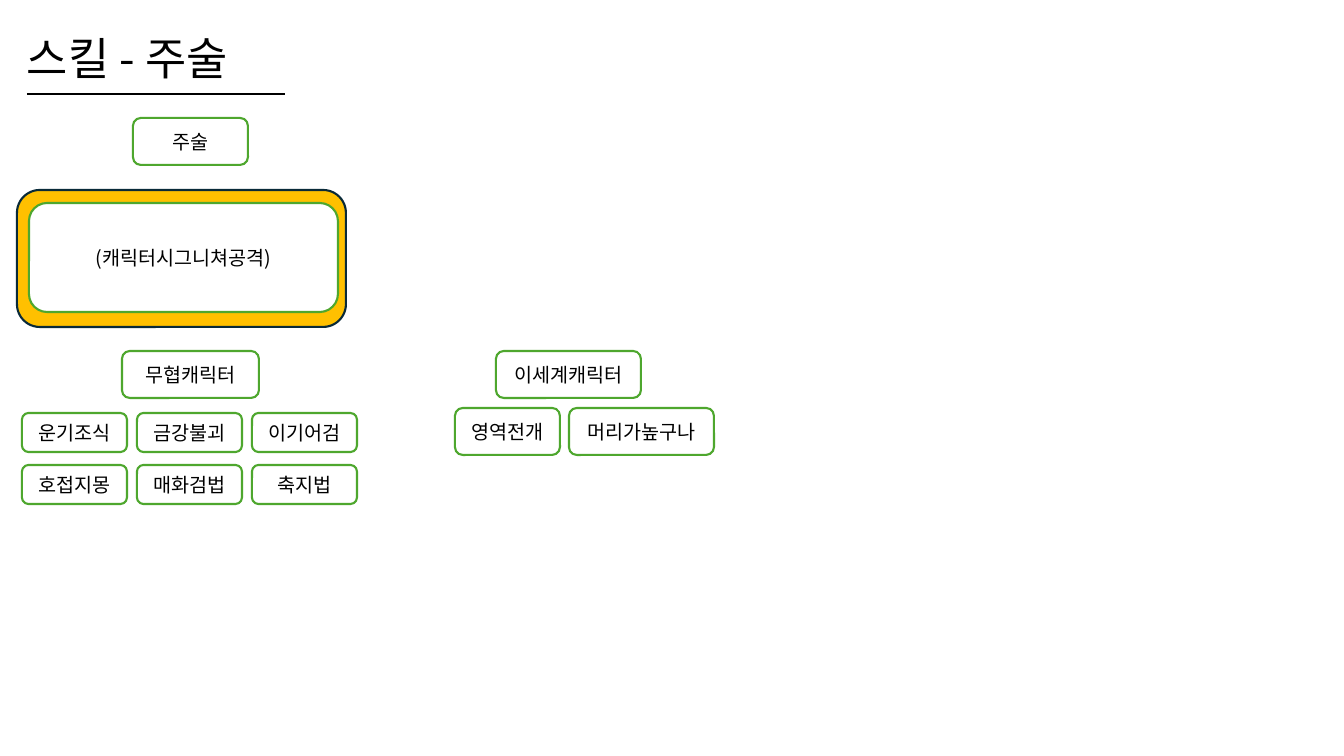
from lxml.etree import SubElement
from pptx import Presentation
from pptx.dml.color import RGBColor
from pptx.enum.shapes import MSO_CONNECTOR as Connector, MSO_SHAPE as Shape
from pptx.enum.text import MSO_ANCHOR as Anchor, PP_ALIGN as Align
from pptx.oxml.ns import qn
from pptx.util import Emu, Pt

BLACK = RGBColor(0x00, 0x00, 0x00)
WHITE = RGBColor(0xFF, 0xFF, 0xFF)
GREEN = RGBColor(0x4E, 0xA7, 0x2E)
GOLD = RGBColor(0xFF, 0xC0, 0x00)
NAVY = RGBColor(0x09, 0x2A, 0x39)
FONT = "Noto Sans CJK KR"

MARTIAL_SKILLS = [
    ["운기조식", "금강불괴", "이기어검"],
    ["호접지몽", "매화검법", "축지법"],
]
LABELS = [
    ("주술", 133, 118, 115, 47),
    ("(캐릭터시그니쳐공격)", 29, 203, 309, 109),
    ("무협캐릭터", 122, 351, 137, 47),
    ("이세계캐릭터", 496, 351, 145, 47),
    ("영역전개", 455, 408, 105, 47),
    ("머리가높구나", 569, 408, 145, 47),
]


def px(count):
    return Emu(round(count * 914400 / 100.8))


def write(frame, text, size=14, align=Align.CENTER, spacing=None):
    frame.word_wrap = True
    frame.vertical_anchor = Anchor.MIDDLE
    para = frame.paragraphs[0]
    para.alignment = align
    para.line_spacing = spacing
    span = para.add_run()
    span.text = text
    span.font.size = Pt(size)
    span.font.name = FONT
    span.font.color.rgb = BLACK
    SubElement(span.font._element, qn("a:ea"), typeface=FONT)


class SkillPage:
    """Draws the titles, rules and rounded boxes of a skill slide."""

    def __init__(self, page, line_width=1.5):
        self.shapes = page.shapes
        self.line_width = Pt(line_width)

    def title(self, text, left, top, width, height):
        box = self.shapes.add_textbox(px(left), px(top), px(width), px(height))
        write(box.text_frame, text, size=32, align=Align.LEFT, spacing=0.9)

    def rule(self, left, right, top):
        rule = self.shapes.add_connector(
            Connector.STRAIGHT, px(left), px(top), px(right), px(top))
        rule.line.color.rgb = BLACK
        rule.line.width = self.line_width
        SubElement(rule._element.spPr, qn("a:effectLst"))

    def box(self, left, top, width, height, text="", fill=WHITE, line=GREEN):
        box = self.shapes.add_shape(
            Shape.ROUNDED_RECTANGLE, px(left), px(top), px(width), px(height))
        box.shadow.inherit = False
        box.fill.solid()
        box.fill.fore_color.rgb = fill
        box.line.color.rgb = line
        box.line.width = self.line_width
        if text:
            write(box.text_frame, text)


def main():
    deck = Presentation()
    deck.slide_width, deck.slide_height = px(1344), px(756)
    page = SkillPage(deck.slides.add_slide(deck.slide_layouts[6]))

    page.title("스킬 - 주술", 17, 13, 1159, 97)
    page.rule(27, 285, 94)
    page.box(17, 190, 329, 137, fill=GOLD, line=NAVY)
    for text, left, top, width, height in LABELS:
        page.box(left, top, width, height, text)
    for row, skills in enumerate(MARTIAL_SKILLS):
        for column, skill in enumerate(skills):
            page.box(22 + 115 * column, 413 + 52 * row, 105, 39, skill)

    deck.save("out.pptx")


if __name__ == "__main__":
    main()
